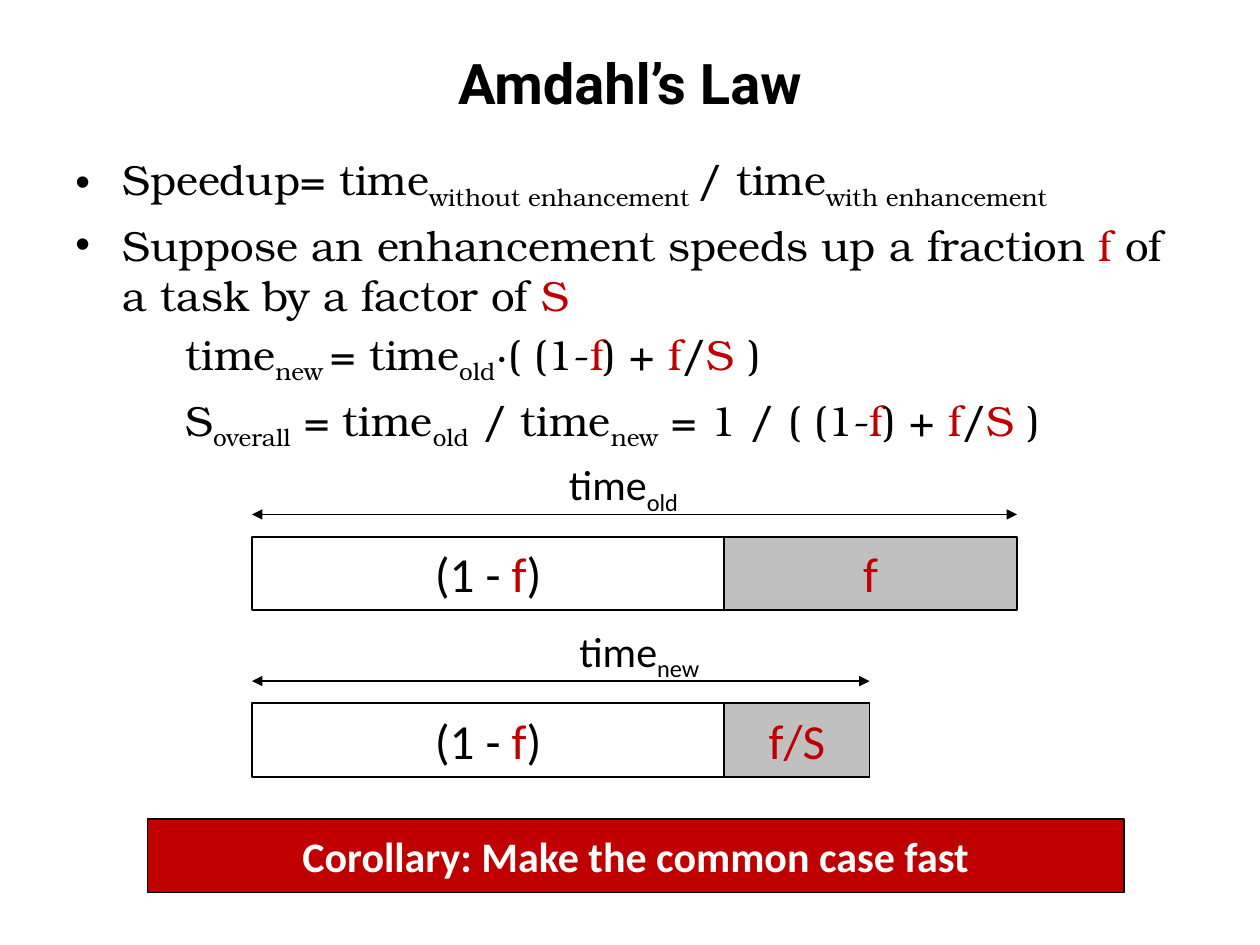
from lxml.etree import SubElement
from pptx import Presentation
from pptx.dml.color import RGBColor
from pptx.enum.shapes import MSO_CONNECTOR, MSO_SHAPE
from pptx.enum.text import MSO_ANCHOR, PP_ALIGN
from pptx.oxml.ns import qn
from pptx.util import Cm, Pt

BLACK = RGBColor(0x00, 0x00, 0x00)
WHITE = RGBColor(0xFF, 0xFF, 0xFF)
RED = RGBColor(0xC0, 0x00, 0x00)
GRAY = RGBColor(0xC0, 0xC0, 0xC0)


def write_text(shape, paragraphs, font="Calibri", size=24, color=BLACK, bold=False,
               align=PP_ALIGN.LEFT, anchor=MSO_ANCHOR.TOP, wrap=True):
    """Each paragraph is a list of runs: plain text, or (text, "red" or "sub")."""
    frame = shape.text_frame
    frame.word_wrap = wrap
    frame.vertical_anchor = anchor
    for number, runs in enumerate(paragraphs):
        paragraph = frame.add_paragraph() if number else frame.paragraphs[0]
        paragraph.alignment = align
        if number:
            paragraph.space_before = Pt(size * 0.2)
        for item in runs:
            text, style = (item, None) if isinstance(item, str) else item
            run = paragraph.add_run()
            run.text = text
            run.font.name = font
            run.font.size = Pt(size)
            run.font.bold = bold
            run.font.color.rgb = RED if style == "red" else color
            if style == "sub":
                run.font._element.set("baseline", "-25000")


def add_line(slide, x1, y1, x2, y2, arrows=False):
    line = slide.shapes.add_connector(MSO_CONNECTOR.STRAIGHT, Cm(x1), Cm(y1), Cm(x2), Cm(y2))
    line.line.color.rgb = BLACK
    line.line.width = Pt(1)
    SubElement(line._element.spPr, qn("a:effectLst"))
    if arrows:
        outline = line.line._get_or_add_ln()
        for end in ("a:headEnd", "a:tailEnd"):
            SubElement(outline, qn(end), type="triangle")


presentation = Presentation()
presentation.slide_width = Cm(25.4)
presentation.slide_height = Cm(19.05)
slide = presentation.slides.add_slide(presentation.slide_layouts[6])

# Title
title = slide.shapes.add_textbox(Cm(1.27), Cm(0.76), Cm(22.86), Cm(1.78))
write_text(title, [["Amdahl’s Law"]], font="Roboto", size=32, bold=True,
           align=PP_ALIGN.CENTER, anchor=MSO_ANCHOR.MIDDLE)

# Bullets and formulas
F, S = ("f", "red"), ("S", "red")
OLD, NEW = ("old", "sub"), ("new", "sub")
body = slide.shapes.add_textbox(Cm(1.27), Cm(2.97), Cm(22.86), Cm(14.05))
write_text(body, [
    ["Speedup= time", ("without enhancement ", "sub"), "/ time", ("with enhancement", "sub")],
    ["Suppose an enhancement speeds up a fraction", (" f ", "red"),
     "of a task by a factor of ", S],
    ["time", ("new ", "sub"), "= time", OLD, "·( (1-", F, ") + ", F, "/", S, " )"],
    ["S", ("overall", "sub"), " = time", OLD, " / time", NEW,
     " = 1 / ( (1-", F, ") + ", F, "/", ("S ", "red"), ")"],
], font="TeX Gyre Bonum")
for number, paragraph in enumerate(body.text_frame.paragraphs):
    properties = paragraph._p.get_or_add_pPr()
    if number < 2:
        properties.set("marL", str(Cm(0.95)))
        properties.set("indent", str(Cm(-0.95)))
        SubElement(properties, qn("a:buFont"), typeface="Arial")
        SubElement(properties, qn("a:buChar"), char="•")
    else:
        properties.set("marL", str(Cm(2.22)))

# Time bars: top, enhanced width, enhanced label, time subscript, caption left and width
BAR_LEFT, DIVIDER, BAR_HEIGHT = 5.08, 14.6, 1.48
bars = [
    (10.82, 5.9, "f", OLD, 11.22, 2.85),
    (14.18, 2.93, "f/S", NEW, 11.43, 3.15),
]
for top, enhanced_width, label, subscript, caption_left, caption_width in bars:
    segments = [
        (BAR_LEFT, DIVIDER - BAR_LEFT, WHITE, ["(1 - ", F, ")"]),
        (DIVIDER, enhanced_width, GRAY, [(label, "red")]),
    ]
    for left, width, fill, runs in segments:
        segment = slide.shapes.add_shape(MSO_SHAPE.RECTANGLE, Cm(left), Cm(top),
                                         Cm(width), Cm(BAR_HEIGHT))
        segment.shadow.inherit = False
        segment.fill.solid()
        segment.fill.fore_color.rgb = fill
        segment.line.color.rgb = BLACK
        segment.line.width = Pt(1)
        write_text(segment, [runs], size=28, align=PP_ALIGN.CENTER,
                   anchor=MSO_ANCHOR.MIDDLE, wrap=False)
    add_line(slide, BAR_LEFT, top - 0.45, DIVIDER + enhanced_width, top - 0.45, arrows=True)
    caption = slide.shapes.add_textbox(Cm(caption_left), Cm(top - 1.7),
                                       Cm(caption_width), Cm(1.27))
    write_text(caption, [["time", subscript]])

# Divider of the new time bar
add_line(slide, DIVIDER, 14.18, DIVIDER, 14.18 + BAR_HEIGHT)

# Corollary banner
banner = slide.shapes.add_shape(MSO_SHAPE.RECTANGLE, Cm(2.97), Cm(16.51), Cm(19.69), Cm(1.48))
banner.shadow.inherit = False
banner.fill.solid()
banner.fill.fore_color.rgb = RED
banner.line.color.rgb = BLACK
banner.line.width = Pt(0.75)
write_text(banner, [["Corollary: Make the common case fast"]], color=WHITE, bold=True,
           align=PP_ALIGN.CENTER, anchor=MSO_ANCHOR.MIDDLE)

presentation.save("out.pptx")
